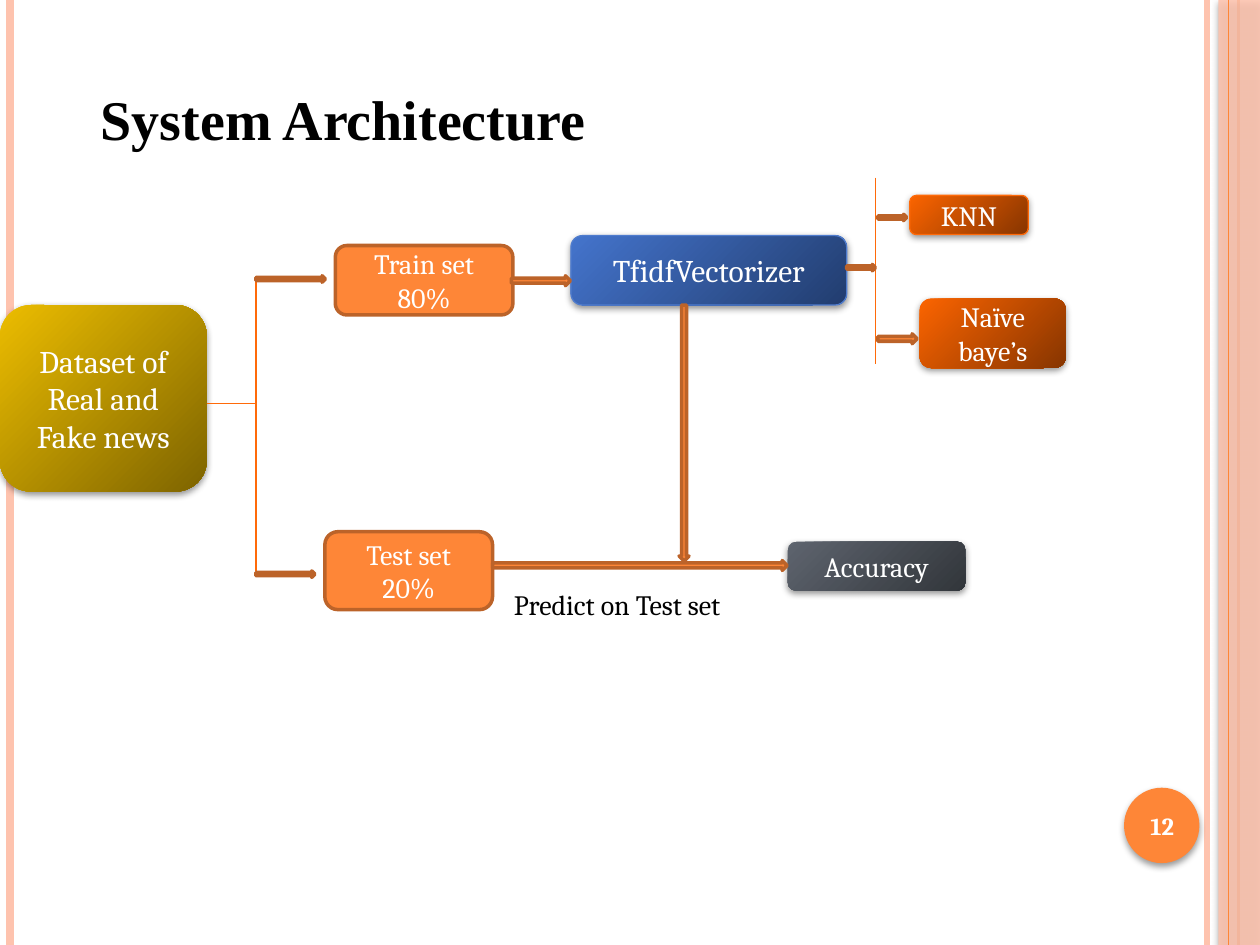
from lxml import etree
from pptx import Presentation
from pptx.dml.color import RGBColor
from pptx.enum import shapes, text
from pptx.oxml.ns import qn
from pptx.util import Cm, Pt

WHITE = RGBColor(0xFF, 0xFF, 0xFF)
BLACK = RGBColor(0, 0, 0)
PEACH = RGBColor(0xFE, 0xC3, 0xAE)
ORANGE = RGBColor(0xFE, 0x86, 0x37)
RUST = RGBColor(0xBC, 0x63, 0x29)
BRIGHT = RGBColor(0xFF, 0x6A, 0x09)
SKY = RGBColor(0x4F, 0x7C, 0xCE)
GOLD = (RGBColor(0xEC, 0xBD, 0x00), RGBColor(0x7E, 0x64, 0x00))
BLUE = (RGBColor(0x44, 0x74, 0xCC), RGBColor(0x22, 0x3D, 0x6F))
GREY = (RGBColor(0x5E, 0x64, 0x6E), RGBColor(0x32, 0x36, 0x3B))
FLAME = (RGBColor(0xFB, 0x64, 0x00), RGBColor(0x87, 0x35, 0x00))

WIDTH, HEIGHT = 25.4, 19.05
SHAPE = shapes.MSO_SHAPE

# All positions are in centimetres: left, top, width, height.
# label, place, fill (a pair is a gradient), line colour, line width, text size
STAGES = [
    ("Dataset of Real and Fake news", (0, 6.15, 4.17, 3.76), GOLD, None, 0, 18),
    ("Train set 80%", (6.76, 4.95, 3.58, 1.4), ORANGE, RUST, 2, 16),
    ("Test set 20%", (6.55, 10.72, 3.38, 1.57), ORANGE, RUST, 2, 16),
    ("TfidfVectorizer", (11.51, 4.75, 5.56, 1.4), BLUE, SKY, 0.75, 18),
    ("Accuracy", (15.88, 10.92, 3.58, 0.99), GREY, None, 0, 16),
    ("KNN", (18.34, 3.94, 2.39, 0.79), FLAME, BRIGHT, 0.75, 16),
    ("Naïve baye’s", (18.54, 6.02, 2.95, 1.4), FLAME, None, 0, 16),
]

ARROWS = [
    (5.16, 5.56, 1.4, 0.13),    # split to train set
    (5.16, 11.51, 1.19, 0.13),  # split to test set
    (10.31, 5.56, 1.19, 0.2),   # train set to vectorizer
    (13.69, 6.15, 0.2, 5.16),   # vectorizer down to prediction
    (9.93, 11.3, 5.94, 0.2),    # test set to accuracy
    (17.07, 5.33, 0.58, 0.13),  # vectorizer to models
    (17.7, 4.32, 0.58, 0.13),   # to KNN
    (17.7, 6.73, 0.79, 0.2),    # to Naïve Bayes
]

# start x, start y, end x, end y
BRANCHES = [
    (5.16, 5.56, 5.16, 11.51),
    (4.17, 8.13, 5.16, 8.13),
    (17.65, 3.58, 17.65, 7.34),
]

# x, colour, width of the full-height stripes
STRIPES_BEHIND = [(24.33, PEACH, 3), (0.2, PEACH, 4.5), (24.97, ORANGE, 1.5)]
STRIPES_FRONT = [(24.77, ORANGE, 0.75)]


def add_line(page, ends, color, width):
    line = page.shapes.add_connector(
        shapes.MSO_CONNECTOR.STRAIGHT, *[Cm(v) for v in ends])
    line.line.color.rgb = color
    line.line.width = Pt(width)
    etree.SubElement(line._element.spPr, qn("a:effectLst"))


def add_stripes(page, stripes):
    for x, color, width in stripes:
        add_line(page, (x, 0, x, HEIGHT), color, width)


def add_shadow(shape, distance, opacity):
    effects = shape._element.spPr.find(qn("a:effectLst"))
    shadow = etree.SubElement(
        effects, qn("a:outerShdw"), blurRad=str(Pt(4)),
        dist=str(Pt(distance)), dir="5400000", rotWithShape="0")
    color = etree.SubElement(shadow, qn("a:srgbClr"), val="000000")
    etree.SubElement(color, qn("a:alpha"), val=str(opacity * 1000))


def add_shape(page, kind, place, fill, line=None, width=0):
    shape = page.shapes.add_shape(kind, *[Cm(v) for v in place])
    if isinstance(fill, RGBColor):
        shape.fill.solid()
        shape.fill.fore_color.rgb = fill
    else:
        shape.fill.gradient()
        shape.fill.gradient_angle = 315
        for stop, color in zip(shape.fill.gradient_stops, fill):
            stop.color.rgb = color
    if line is None:
        shape.line.fill.background()
    else:
        shape.line.color.rgb = line
        shape.line.width = Pt(width)
    shape.shadow.inherit = False
    return shape


def write(box, words, size, color, font="Cambria", bold=False, centred=True):
    frame = box.text_frame
    frame.word_wrap = True
    frame.text = words
    frame.vertical_anchor = (
        text.MSO_ANCHOR.MIDDLE if centred else text.MSO_ANCHOR.TOP)
    para = frame.paragraphs[0]
    para.alignment = text.PP_ALIGN.CENTER if centred else text.PP_ALIGN.LEFT
    span = para.runs[0].font
    span.name, span.size, span.bold = font, Pt(size), bold
    span.color.rgb = color


def add_text(page, place, *args, **style):
    write(page.shapes.add_textbox(*[Cm(v) for v in place]), *args, **style)


def add_frame(page):
    """Side stripes, translucent band and page number."""
    add_stripes(page, STRIPES_BEHIND)
    band = add_shape(page, SHAPE.RECTANGLE, (24.56, 0, 0.84, HEIGHT), PEACH)
    color = band._element.spPr.find(qn("a:solidFill"))[0]
    etree.SubElement(color, qn("a:alpha"), val="87000")
    add_shadow(band, 2, 40)
    add_stripes(page, STRIPES_FRONT)
    badge = add_shape(page, SHAPE.OVAL, (22.66, 15.88, 1.52, 1.52), ORANGE)
    add_shadow(badge, 2, 40)
    add_text(page, (22.58, 15.93, 1.7, 1.45), "12", 14, WHITE, bold=True)


def add_diagram(page):
    for label, place, fill, line, width, size in STAGES:
        box = add_shape(page, SHAPE.ROUNDED_RECTANGLE, place, fill, line, width)
        write(box, label, size, WHITE)
        if isinstance(fill, tuple) and not isinstance(fill, RGBColor):
            add_shadow(box, 1.6, 42)
    for ends in BRANCHES:
        add_line(page, ends, BRIGHT, 0.75)
    for place in ARROWS:
        kind = SHAPE.RIGHT_ARROW if place[2] > place[3] else SHAPE.DOWN_ARROW
        add_shape(page, kind, place, ORANGE, RUST, 2)
    add_text(page, (10.11, 11.71, 5.94, 0.91), "Predict on Test set", 16, BLACK,
             centred=False)


def main():
    deck = Presentation()
    deck.slide_width, deck.slide_height = Cm(WIDTH), Cm(HEIGHT)
    page = deck.slides.add_slide(deck.slide_layouts[6])
    add_frame(page)
    add_text(page, (1.78, 1.57, 10.92, 1.6), "System Architecture", 32, BLACK,
             font="Times New Roman", bold=True, centred=False)
    add_diagram(page)
    deck.save("out.pptx")


if __name__ == "__main__":
    main()
